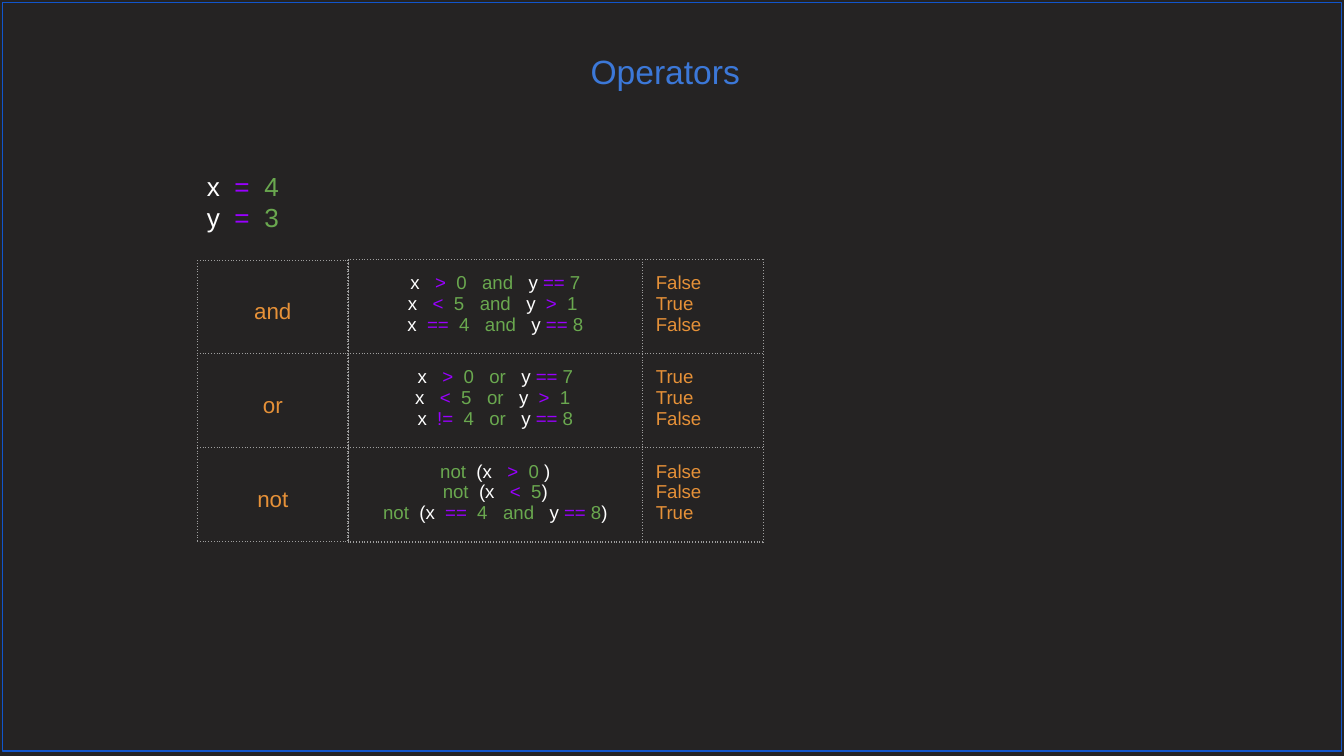
from dataclasses import dataclass

from lxml import etree
from pptx import Presentation, util as u
from pptx.dml.color import RGBColor
from pptx.enum import shapes, text
from pptx.oxml import ns

Inches = u.Inches


@dataclass(frozen=True)
class Theme:
    """Colours, font and type sizes of the slide."""
    font: str = "Arial"
    background: str = "252323"
    frame: str = "1155CC"
    title: str = "3C78D8"
    plain: str = "FFFFFF"
    operator: str = "9900FF"
    value: str = "6AA84F"
    label: str = "E69138"
    rule: str = "9E9E9E"
    title_size: int = 18
    variable_size: int = 14
    label_size: int = 12
    code_size: int = 10
    line_width: float = 0.75


THEME = Theme()
MARGIN = 0.1
OPERATORS = {"=", "==", "!=", "<", ">"}
NAMES = {"x", "y", "(x", ")"}


def add_span(para, words, size, colour):
    """Append one formatted run to a paragraph."""
    span = para.add_run()
    span.text = words
    span.font.name = THEME.font
    span.font.size = u.Pt(size)
    span.font.bold = False
    span.font.color.rgb = RGBColor.from_string(colour)


def add_code(para, line, size):
    """Append a line of code whose tokens are split by bars."""
    for token in line.split("|"):
        word = token.strip()
        colour = (THEME.operator if word in OPERATORS
                  else THEME.plain if word in NAMES else THEME.value)
        add_span(para, token, size, colour)


def add_label(para, line, size):
    """Append a line of label text."""
    add_span(para, line, size, THEME.label)


def set_margins(box):
    """Give a text frame or cell equal margins."""
    box.margin_left = box.margin_right = Inches(MARGIN)
    box.margin_top = box.margin_bottom = Inches(MARGIN)


def add_title(page, left, top, width, height):
    """Move and fill the title placeholder."""
    title = page.shapes.title
    title.left, title.top = Inches(left), Inches(top)
    title.width, title.height = Inches(width), Inches(height)
    frame = title.text_frame
    set_margins(frame)
    frame.word_wrap = True
    frame.auto_size = text.MSO_AUTO_SIZE.NONE
    frame.vertical_anchor = text.MSO_ANCHOR.TOP
    para = frame.paragraphs[0]
    para.alignment = text.PP_ALIGN.CENTER
    add_span(para, "Operators", THEME.title_size, THEME.title)


def add_variables(page, left, top, width, height, pitch, lines):
    """Stack one text box for each variable."""
    for index, line in enumerate(lines):
        box = page.shapes.add_textbox(
            Inches(left), Inches(top + index * pitch), Inches(width), Inches(height))
        frame = box.text_frame
        set_margins(frame)
        frame.word_wrap = True
        add_code(frame.paragraphs[0], line, THEME.variable_size)


def add_borders(cell):
    """Draw dotted lines on all sides of a cell."""
    properties = cell._tc.get_or_add_tcPr()
    for index, side in enumerate(("lnL", "lnR", "lnT", "lnB")):
        line = etree.Element(ns.qn(f"a:{side}"), w=str(u.Pt(THEME.line_width)))
        fill = etree.SubElement(line, ns.qn("a:solidFill"))
        etree.SubElement(fill, ns.qn("a:srgbClr"), val=THEME.rule)
        etree.SubElement(line, ns.qn("a:prstDash"), val="dot")
        properties.insert(index, line)


def add_column(page, left, top, width, heights, entries, size, write, align, drop=None):
    """Add a one-column table, with its text centred below the middle if drop is given."""
    table = page.shapes.add_table(
        len(entries), 1, Inches(left), Inches(top),
        Inches(width), Inches(sum(heights))).table
    table.first_row = table.horz_banding = False
    for row, height, lines in zip(table.rows, heights, entries):
        row.height = Inches(height)
        cell = row.cells[0]
        set_margins(cell)
        if drop is not None:
            cell.vertical_anchor = text.MSO_ANCHOR.MIDDLE
            cell.margin_top = Inches(MARGIN + drop)
        cell.fill.background()
        add_borders(cell)
        for index, line in enumerate(lines):
            frame = cell.text_frame
            para = frame.add_paragraph() if index else frame.paragraphs[0]
            para.alignment = align
            write(para, line, size)


def add_operators(page, left, top):
    """Set the operator names, examples and results side by side."""
    center, start = text.PP_ALIGN.CENTER, text.PP_ALIGN.LEFT
    names = [["and"], ["or"], ["not"]]
    examples = [
        [f"x   |>  |0   {word}|   y |== |7",
         f"x  | <  |5   {word}|   y  |>  |1 ",
         f"x  |{sign}  |4   {word}|   y |== |8"]
        for word, sign in (("and", "=="), ("or", "!="))
    ]
    examples.append(["not  |(x   |>  |0| )",
                     "not  |(x  | <  |5|)",
                     "not  |(x  |==  |4   and|   y |== |8|)"])
    results = [["False", "True", "False"],
               ["True", "True", "False"],
               ["False", "False", "True"]]
    heights = [0.7] * 3
    add_column(page, left + 3.31, top, 0.9, heights, results,
               THEME.code_size, add_label, start)
    add_column(page, left, top + 0.01, 1.12, [0.69, 0.7, 0.7], names,
               THEME.label_size, add_label, center, drop=0.07)
    add_column(page, left + 1.12, top, 2.19, heights, examples,
               THEME.code_size, add_code, center)


def add_frame(page, left, top, width, height):
    """Outline the slide."""
    frame = page.shapes.add_shape(
        shapes.MSO_SHAPE.RECTANGLE, Inches(left), Inches(top),
        Inches(width), Inches(height))
    frame.shadow.inherit = False
    frame.fill.background()
    frame.line.color.rgb = RGBColor.from_string(THEME.frame)
    frame.line.width = u.Pt(THEME.line_width)


def main():
    """Build and save the slide."""
    deck = Presentation()
    deck.slide_width = Inches(10)
    deck.slide_height = deck.slide_width * 9 // 16
    page = deck.slides.add_slide(deck.slide_layouts.get_by_name("Title Only"))
    page.background.fill.solid()
    page.background.fill.fore_color.rgb = RGBColor.from_string(THEME.background)
    add_variables(page, 1.44, 1.17, 1.45, 0.44, 0.23, ["x  |=  |4", "y  |=  |3"])
    add_operators(page, 1.47, 1.93)
    add_title(page, -0.05, 0.28, 10, 0.63)
    add_frame(page, 0.02, 0.02, 9.96, 5.57)
    deck.save("out.pptx")


if __name__ == "__main__":
    main()
